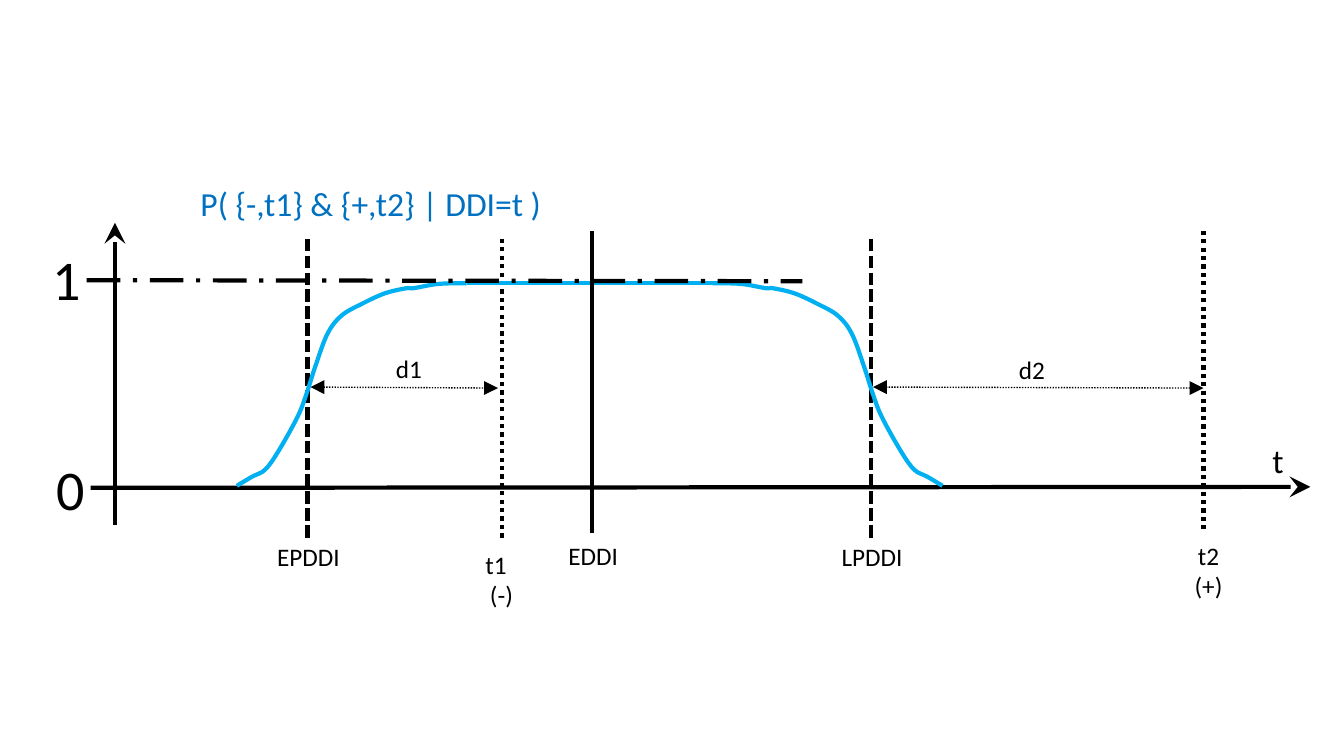
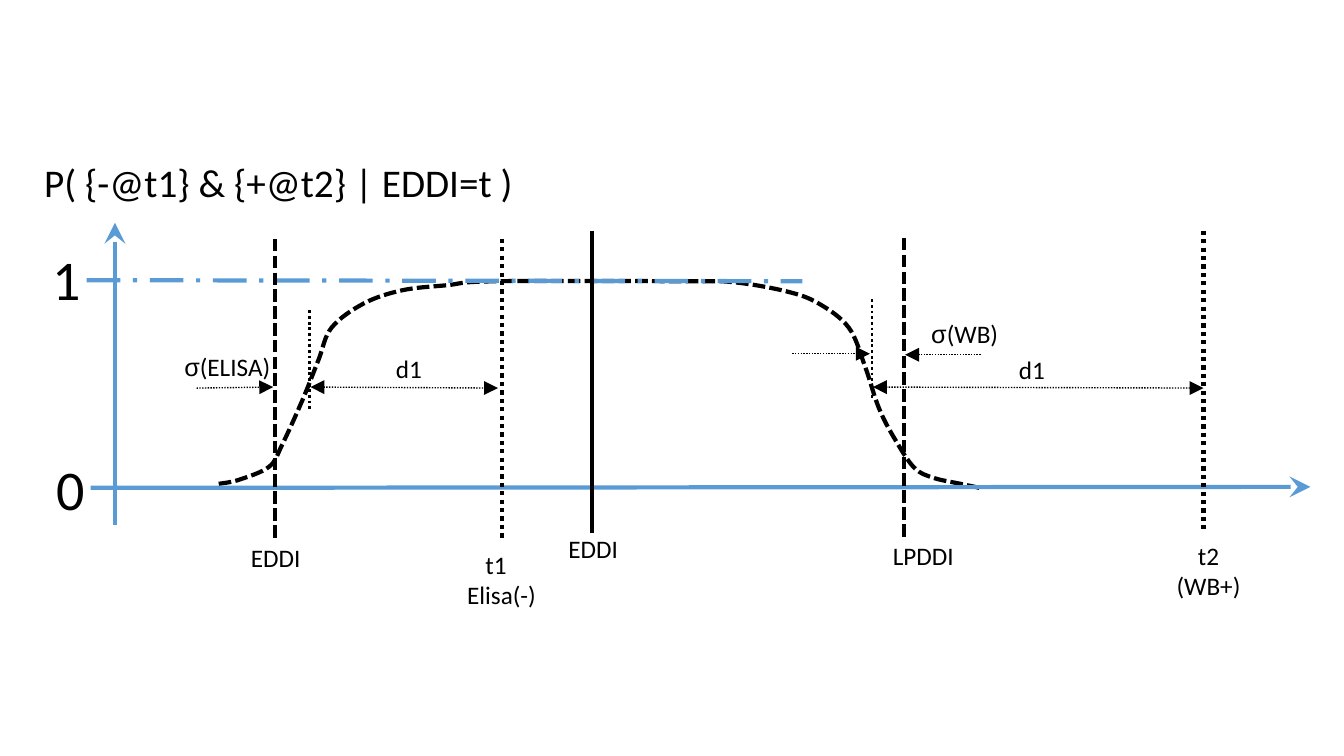
import pptx
import pptx.util
import pptx.dml.color
import pptx.enum.dml
import pptx.enum.shapes
import pptx.enum.text
import pptx.oxml.ns
import lxml.etree

PX = 9144
BLACK, BLUE, CYAN, DEEP = "000000", "5B9BD5", "00B0F0", "0070C0"
STYLE = pptx.enum.dml.MSO_LINE
DOT, DASH, LONG = STYLE.ROUND_DOT, STYLE.SQUARE_DOT, STYLE.LONG_DASH_DOT
TRI, BARB = "triangle", "stealth"


def axes(hue):
    return [
        (114, 221, 114, 521, hue, 3, None, BARB, None),
        (90, 484, 1300, 483, hue, 3, None, None, BARB),
    ]


def level(hue):
    return (86, 278, 796, 279, hue, 3, LONG, None, None)


def mark(x, top, dash=None, width=3, tall=300):
    return (x, top, x, top + tall, BLACK, width, dash, None, None)


def span(x1, y1, x2, y2, head=None, tail=None):
    return (x1, y1, x2, y2, BLACK, 1, DOT, head, tail)


TIMES = [
    mark(498, 237, DOT),
    mark(1194, 229, DOT),
    span(308, 384, 494, 385, TRI, TRI),
    span(866, 384, 1194, 385, TRI, TRI),
]
EDDI = mark(587, 229)

RISE = [
    (235, 482), (250, 473), (263, 466), (276, 448), (295, 414), (304, 391),
    (313, 363), (325, 331), (339, 313), (360, 301), (382, 291), (403, 286),
    (410, 286), (432, 282), (451, 281), (463, 281),
]
FALL = [(1170 - x, y) for x, y in RISE]
WIDE = [
    (217, 480), (237, 476), (267, 463), (280, 441), (300, 397), (316, 357),
    (329, 325), (361, 301), (399, 288), (443, 283), (492, 279), (680, 279),
    (728, 280), (780, 289), (812, 301), (842, 325), (858, 363), (872, 405),
    (888, 436), (907, 464), (926, 474), (953, 480), (972, 484),
]

LEFT, MID = "left", "mid"
SHARED = [
    (46, 446, 62, 40, BLACK, LEFT, [["0"]]),
    (42, 238, 62, 40, BLACK, LEFT, [["1"]]),
    (383, 346, 107, 18, BLACK, LEFT, [["d1"]]),
]

SLIDES = [
    {
        "back": axes(BLACK) + TIMES + [mark(305, 237, DASH), mark(864, 237, DASH)],
        "curves": [(FALL, CYAN, None), (RISE, CYAN, None)],
        "front": [
            (463, 281, 711, 281, CYAN, 3, None, None, None),
            level(BLACK),
            EDDI,
        ],
        "text": [
            (189, 177, 360, 24, DEEP, None, [["P( {-,t1} & {+,t2} | DDI=t )"]]),
            (1001, 347, 107, 18, BLACK, LEFT, [["d2"]]),
            (265, 532, 158, 18, BLACK, LEFT, [["EPDDI"]]),
            (435, 540, 125, 18, BLACK, MID, [["t1"], ["(-)"]]),
            (554, 531, 158, 18, BLACK, LEFT, [["EDDI"]]),
            (825, 532, 158, 18, BLACK, LEFT, [["LPDDI"]]),
            (1141, 531, 116, 18, BLACK, MID, [["t2"], ["(+)"]]),
            (1210, 432, 116, 24, BLACK, MID, [["t"]]),
        ],
    },
    {
        "back": [],
        "curves": [(WIDE, BLACK, DASH)],
        "front": axes(BLUE) + [level(BLUE)] + TIMES + [
            mark(273, 237, DASH),
            mark(897, 236, DASH),
            mark(307, 308, DOT, 2, 100),
            mark(865, 297, DOT, 2, 100),
            span(195, 385, 271, 384, None, TRI),
            span(786, 351, 863, 351, None, TRI),
            span(898, 352, 974, 352, TRI),
            EDDI,
        ],
        "text": [
            (34, 152, 519, 28, BLACK, LEFT, [["P( {-@t1} & {+@t2} | EDDI=t )"]]),
            (1001, 347, 107, 18, BLACK, LEFT, [["d1"]]),
            (914, 311, 87, 18, BLACK, None, [["σ", "(WB)"]]),
            (173, 344, 106, 18, BLACK, None, [["σ", "(ELISA)"]]),
            (239, 533, 158, 18, BLACK, LEFT, [["EDDI"]]),
            (435, 540, 125, 18, BLACK, MID, [["t1"], ["Elisa(-)"]]),
            (554, 524, 158, 18, BLACK, LEFT, [["EDDI"]]),
            (876, 531, 158, 18, BLACK, LEFT, [["LPDDI"]]),
            (1141, 531, 116, 18, BLACK, MID, [["t2"], ["(WB+)"]]),
        ],
    },
]


def emu(n):
    return round(n * PX)


def ink(code):
    return pptx.dml.color.RGBColor.from_string(code)


def pen(line, hue, width, dash):
    line.color.rgb = ink(hue)
    line.width = pptx.util.Pt(width)
    if dash:
        line.dash_style = dash


def draw(page, row):
    x1, y1, x2, y2, hue, width, dash, head, tail = row
    kind = pptx.enum.shapes.MSO_CONNECTOR.STRAIGHT
    line = page.shapes.add_connector(kind, emu(x1), emu(y1), emu(x2), emu(y2))
    pen(line.line, hue, width, dash)
    qn = pptx.oxml.ns.qn
    props = line._element.spPr
    for tag, tip in (("a:headEnd", head), ("a:tailEnd", tail)):
        if tip:
            lxml.etree.SubElement(
                props.find(qn("a:ln")), qn(tag), type=tip, w="lg", len="lg")
    lxml.etree.SubElement(props, qn("a:effectLst"))


def bend(shape, dots):
    qn = pptx.oxml.ns.qn
    ends = dots[:1] + dots + dots[-1:]
    steps = list(shape._element.iter(qn("a:lnTo")))
    for i, step in enumerate(steps):
        a, b, c, d = ends[i:i + 4]
        grip = [q + (r - p) / 6 for p, q, r in zip(a, b, c)]
        pull = [r - (s - q) / 6 for q, r, s in zip(b, c, d)]
        step.tag = qn("a:cubicBezTo")
        for k, (x, y) in enumerate((grip, pull)):
            spot = lxml.etree.Element(
                qn("a:pt"), x=str(round(x - shape.left)), y=str(round(y - shape.top)))
            step.insert(k, spot)


def trace(page, knots, hue, dash):
    dots = [(emu(x), emu(y)) for x, y in knots]
    form = page.shapes.build_freeform(*dots[0], scale=1.0)
    form.add_line_segments(dots[1:], close=False)
    shape = form.convert_to_shape()
    bend(shape, dots)
    shape.shadow.inherit = False
    shape.fill.background()
    pen(shape.line, hue, 3, dash)


def write(page, row):
    x, y, wide, size, hue, mode, paras = row
    tall = 10 + size * 5 / 3 * len(paras)
    frame = page.shapes.add_textbox(emu(x), emu(y), emu(wide), emu(tall)).text_frame
    frame.word_wrap = mode is not None
    frame.auto_size = pptx.enum.text.MSO_AUTO_SIZE.SHAPE_TO_FIT_TEXT
    for i, runs in enumerate(paras):
        para = frame.add_paragraph() if i else frame.paragraphs[0]
        if mode == MID:
            para.alignment = pptx.enum.text.PP_ALIGN.CENTER
            gap = emu(11) if runs == ["t1"] else 0
            para._p.get_or_add_pPr().set("marR", str(gap))
        for word in runs:
            run = para.add_run()
            run.text = word
            run.font.name = "Arial" if word == "σ" else "Calibri"
            run.font.size = pptx.util.Pt(size)
            run.font.color.rgb = ink(hue)


def main():
    deck = pptx.Presentation()
    deck.slide_width, deck.slide_height = emu(1333.33), emu(750)
    for data in SLIDES:
        page = deck.slides.add_slide(deck.slide_layouts[6])
        for row in data["back"]:
            draw(page, row)
        for curve in data["curves"]:
            trace(page, *curve)
        for row in data["front"]:
            draw(page, row)
        for row in SHARED + data["text"]:
            write(page, row)
    deck.save("out.pptx")


if __name__ == "__main__":
    main()
